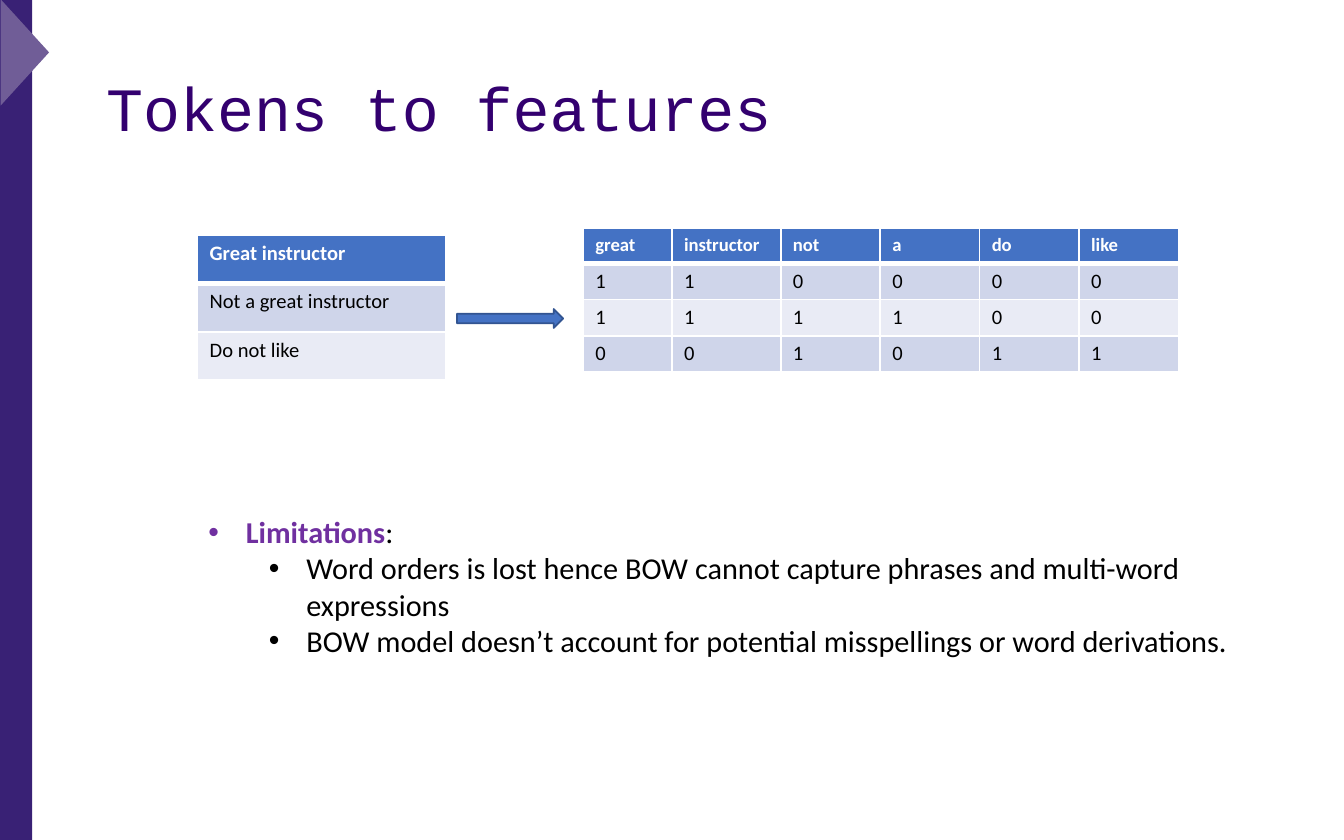
import lxml.etree
import pptx
import pptx.dml.color
import pptx.enum.shapes
import pptx.enum.text
import pptx.oxml.ns
import pptx.util

Inches = pptx.util.Inches
Pt = pptx.util.Pt
SHAPE = pptx.enum.shapes.MSO_SHAPE
qn = pptx.oxml.ns.qn

BLUE, WHITE, BLACK = "4472C4", "FFFFFF", "000000"
BANDS = ["CFD5EA", "E9EBF5"]


def color(hex_code):
    return pptx.dml.color.RGBColor.from_string(hex_code)


def place(element, left, top, width, height):
    element.left, element.top = Inches(left), Inches(top)
    element.width, element.height = Inches(width), Inches(height)


def add_text(paragraph, text, size=11, font="Calibri", fill=BLACK, bold=False):
    run = paragraph.add_run()
    run.text = text
    run.font.size = Pt(size)
    run.font.name = font
    run.font.bold = bold
    run.font.color.rgb = color(fill)


def add_shape(slide, kind, left, top, width, height, fill, line=None, rotation=0):
    shape = slide.shapes.add_shape(
        kind, Inches(left), Inches(top), Inches(width), Inches(height))
    shape.shadow.inherit = False
    shape.rotation = rotation
    shape.fill.solid()
    shape.fill.fore_color.rgb = color(fill)
    if line:
        shape.line.color.rgb = color(line)
        shape.line.width = Pt(1)
    else:
        shape.line.fill.background()


def add_border(cell, side, points):
    properties = cell._tc.get_or_add_tcPr()
    border = lxml.etree.SubElement(properties, qn(f"a:ln{side}"), w=str(Pt(points)))
    fill = lxml.etree.SubElement(border, qn("a:solidFill"))
    lxml.etree.SubElement(fill, qn("a:srgbClr"), val=WHITE)


def format_cell(cell, text, row, header_size):
    header = row == 0
    cell.margin_left = cell.margin_right = Inches(0.09)
    cell.margin_top = cell.margin_bottom = Inches(0.04)
    add_text(cell.text_frame.paragraphs[0], text, bold=header,
             size=header_size if header else 11, fill=WHITE if header else BLACK)
    # Borders come before the fill in the cell properties.
    for side in ("L", "R", "T", "B") if header else ("L", "R", "B"):
        add_border(cell, side, 3 if header and side == "B" else 1)
    cell.fill.solid()
    cell.fill.fore_color.rgb = color(BLUE if header else BANDS[(row - 1) % 2])


def add_table(slide, left, top, widths, heights, rows, header_size):
    table = slide.shapes.add_table(
        len(rows), len(widths), Inches(left), Inches(top),
        Inches(sum(widths)), Inches(sum(heights))).table
    for column, width in zip(table.columns, widths):
        column.width = Inches(width)
    for r, (texts, height) in enumerate(zip(rows, heights)):
        table.rows[r].height = Inches(height)
        for c, text in enumerate(texts):
            format_cell(table.cell(r, c), text, r, header_size)


def format_bullet(paragraph, level, indent):
    paragraph.level = level
    paragraph.space_before = Pt(0)
    properties = paragraph._p.get_or_add_pPr()
    properties.set("marL", str(Inches(indent)))
    properties.set("indent", str(Inches(-0.28)))
    lxml.etree.SubElement(properties, qn("a:buFont"), typeface="Arial")
    lxml.etree.SubElement(properties, qn("a:buChar"), char="•")


def fill_title(title):
    place(title, 0.69, 0.33, 8.62, 1)
    title.text_frame.vertical_anchor = pptx.enum.text.MSO_ANCHOR.MIDDLE
    heading = title.text_frame.paragraphs[0]
    heading.alignment = pptx.enum.text.PP_ALIGN.LEFT
    heading.line_spacing = 0.9
    add_text(heading, "Tokens to features", size=33, font="Courier New", fill="33006F")


def fill_limitations(body):
    place(body, 1.45, 3.77, 7.93, 1.19)
    frame = body.text_frame
    frame.auto_size = pptx.enum.text.MSO_AUTO_SIZE.SHAPE_TO_FIT_TEXT
    heading = frame.paragraphs[0]
    format_bullet(heading, 0, 0.28)
    add_text(heading, "Limitations", size=16.2, fill="7030A0", bold=True)
    add_text(heading, ":", size=16.2)
    for limitation in (
        "Word orders is lost hence BOW cannot capture phrases and multi-word expressions",
        "BOW model doesn’t account for potential misspellings or word derivations.",
    ):
        item = frame.add_paragraph()
        format_bullet(item, 1, 0.73)
        add_text(item, limitation, size=16.2)


def main():
    deck = pptx.Presentation()
    deck.slide_width, deck.slide_height = Inches(10), Inches(6.25)
    slide = deck.slides.add_slide(deck.slide_layouts[1])

    add_shape(slide, SHAPE.RECTANGLE, 0, 0, 0.24, 6.25, "392175")
    add_shape(slide, SHAPE.ISOSCELES_TRIANGLE, -0.21, 0.21, 0.79, 0.36, "705D97",
              rotation=90)
    fill_title(slide.shapes.title)

    sentences = ["Great instructor", "Not a great instructor", "Do not like"]
    add_table(slide, 1.47, 1.75, [1.85], [0.36] * 3,
              [[sentence] for sentence in sentences], header_size=11)

    vocabulary = ["great", "instructor", "not", "a", "do", "like"]
    counts = ["110000", "111100", "001011"]
    add_table(slide, 4.34, 1.7, [0.66, 0.81] + [0.74] * 4, [0.26] + [0.27] * 3,
              [vocabulary, *counts], header_size=10)

    add_shape(slide, SHAPE.RIGHT_ARROW, 3.4, 2.3, 0.79, 0.14, BLUE, line="325491")
    fill_limitations(slide.placeholders[1])
    deck.save("out.pptx")


if __name__ == "__main__":
    main()
